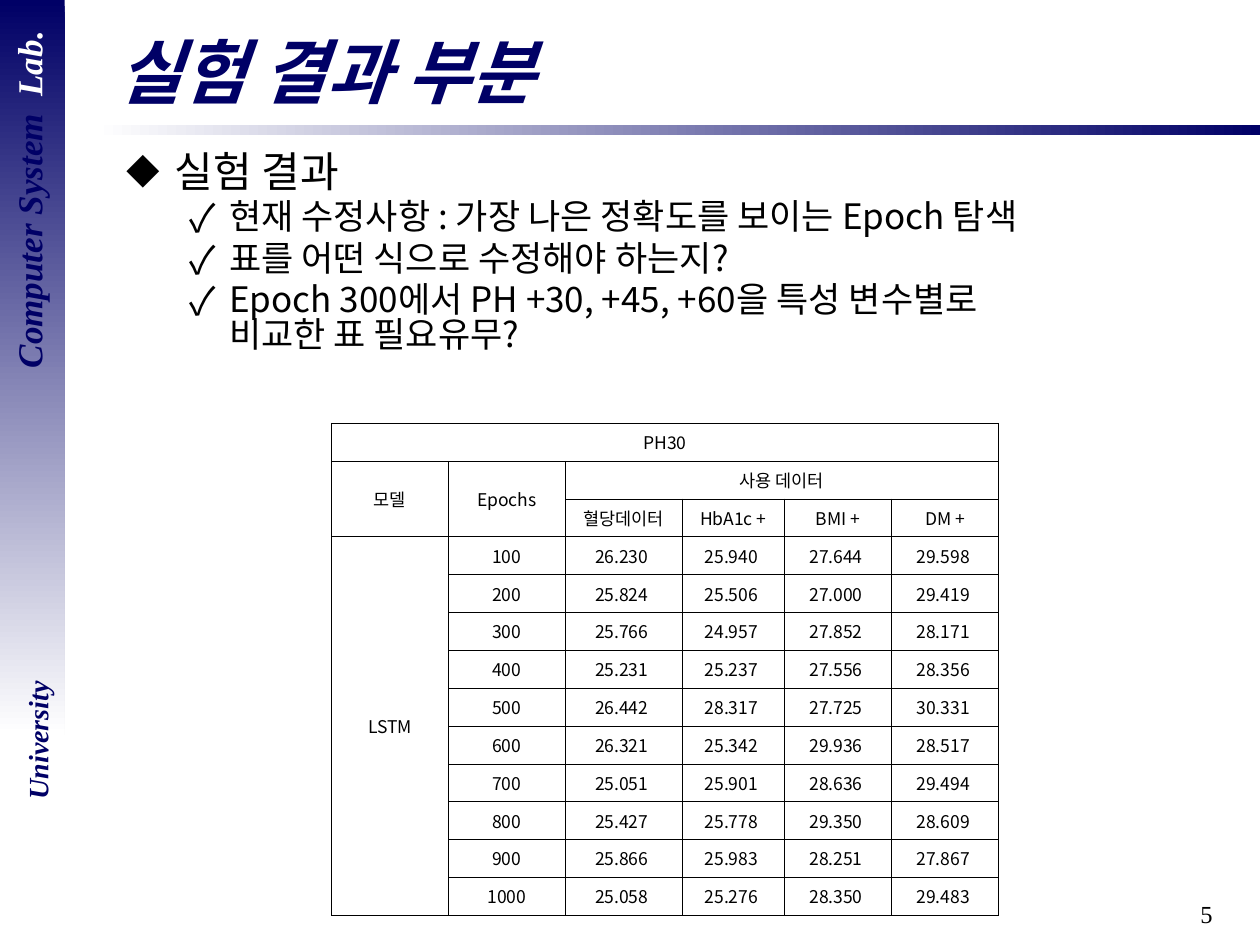
from pptx import Presentation
from pptx.dml.color import RGBColor as Rgb
from pptx.enum.shapes import MSO_SHAPE as Shape
from pptx.enum.text import MSO_ANCHOR as Anchor, PP_ALIGN as Align
from pptx.oxml.ns import qn
from pptx.util import Pt
from lxml.etree import SubElement

COLORS = {"navy": "000066", "white": "FFFFFF", "black": "000000"}
SANS, SERIF = "Noto Sans CJK KR", "Times New Roman"


def color(name):
    return Rgb.from_string(COLORS[name])


class SlideBuilder:
    """Holds the text style and the current slide."""

    base = {"size": Pt(20), "name": SANS, "bold": False, "italic": False}

    def __init__(self, slide):
        self.slide = slide

    def span(self, para, text, tint="black", **style):
        """Add styled runs; a line break splits the text into lines."""
        for number, line in enumerate(text.split("\n")):
            if number:
                para.add_line_break()
            span = para.add_run()
            span.text = line
            for key, value in {**self.base, **style}.items():
                setattr(span.font, key, value)
            span.font.color.rgb = color(tint)
            SubElement(span.font._element, qn("a:ea"), typeface=SANS)

    def box(self, left, top, width, height, rotation=0, anchor=Anchor.TOP):
        box = self.slide.shapes.add_textbox(Pt(left), Pt(top), Pt(width), Pt(height))
        box.rotation = rotation
        box.text_frame.word_wrap = True
        box.text_frame.vertical_anchor = anchor
        return box.text_frame

    def label(self, place, spans, align=Align.LEFT, **style):
        """Add a one-line text box made of (text, colour) spans."""
        para = self.box(**place).paragraphs[0]
        para.alignment = align
        for text, tint in spans:
            self.span(para, text, tint, **style)

    def gradient_bar(self, left, top, width, height, start, end, rotation=0):
        bar = self.slide.shapes.add_shape(
            Shape.RECTANGLE, Pt(left), Pt(top), Pt(width), Pt(height))
        bar.rotation = rotation
        bar.shadow.inherit = False
        bar.line.fill.background()
        bar.fill.gradient()
        bar.fill.gradient_angle = 0
        for stop, tint in zip(bar.fill.gradient_stops, (start, end)):
            stop.color.rgb = color(tint)

    def bullets(self, frame, items, levels):
        """Fill a frame with (level, text) items."""
        for number, (level, text) in enumerate(items):
            look = levels[level]
            para = frame.add_paragraph() if number else frame.paragraphs[0]
            para.level = level
            para.line_spacing = 0.82
            para.space_before = Pt(4 if number else 0)
            props = para._p.get_or_add_pPr()
            props.set("marL", str(Pt(look["margin"])))
            props.set("indent", str(Pt(-look["hang"])))
            SubElement(props, qn("a:buSzPct"), val=str(look["percent"] * 1000))
            SubElement(props, qn("a:buFont"), typeface=SANS)
            SubElement(props, qn("a:buChar"), char=look["mark"])
            self.span(para, text, size=Pt(look["size"]))

    def cell(self, cell, text, font):
        """Style one cell with thin black borders and centred text."""
        props = cell._tc.get_or_add_tcPr()
        for side in ("lnL", "lnR", "lnT", "lnB"):
            line = SubElement(props, qn(f"a:{side}"), w=str(Pt(0.28)))
            fill = SubElement(line, qn("a:solidFill"))
            SubElement(fill, qn("a:srgbClr"), val=COLORS["black"])
        cell.fill.background()
        cell.vertical_anchor = Anchor.MIDDLE
        cell.margin_top = cell.margin_bottom = 0
        para = cell.text_frame.paragraphs[0]
        para.alignment = Align.CENTER
        if text:
            self.span(para, text, size=Pt(10), name=font)

    def table(self, left, top, widths, row_height, rows, merges, serif_cells):
        frame = self.slide.shapes.add_table(
            len(rows), len(widths), Pt(left), Pt(top),
            Pt(sum(widths)), Pt(row_height * len(rows)))
        table = frame.table
        table.first_row = table.horz_banding = False
        for column, width in zip(table.columns, widths):
            column.width = Pt(width)
        for r, row in enumerate(rows):
            table.rows[r].height = Pt(row_height)
            for c, text in enumerate(row):
                font = SERIF if (r, c) in serif_cells else SANS
                self.cell(table.cell(r, c), text, font)
        for first, last in merges:
            table.cell(*first).merge(table.cell(*last))


BULLET_LEVELS = [
    {"margin": 27.36, "hang": 27.36, "percent": 80, "mark": "◆", "size": 24},
    {"margin": 58.32, "hang": 22.32, "percent": 110, "mark": "✓", "size": 20},
]
BULLETS = [
    (0, "실험 결과"),
    (1, "현재 수정사항 : 가장 나은 정확도를 보이는 Epoch 탐색"),
    (1, "표를 어떤 식으로 수정해야 하는지?"),
    (1, "Epoch 300에서 PH +30, +45, +60을 특성 변수별로 \n비교한 표 필요유무?"),
]
HEADER = [
    ["PH30", "", "", "", "", ""],
    ["모델", "Epochs", "사용 데이터", "", "", ""],
    ["", "", "혈당데이터", "HbA1c +", "BMI +", "DM +"],
]
ERRORS = [
    (26.230, 25.940, 27.644, 29.598),
    (25.824, 25.506, 27.000, 29.419),
    (25.766, 24.957, 27.852, 28.171),
    (25.231, 25.237, 27.556, 28.356),
    (26.442, 28.317, 27.725, 30.331),
    (26.321, 25.342, 29.936, 28.517),
    (25.051, 25.901, 28.636, 29.494),
    (25.427, 25.778, 29.350, 28.609),
    (25.866, 25.983, 28.251, 27.867),
    (25.058, 25.276, 28.350, 29.483),
]
MERGES = [((0, 0), (0, 5)), ((1, 0), (2, 0)), ((1, 1), (2, 1)),
          ((1, 2), (1, 5)), ((3, 0), (12, 0))]


def main():
    deck = Presentation()
    deck.slide_width, deck.slide_height = Pt(720), Pt(540)
    page = SlideBuilder(deck.slides.add_slide(deck.slide_layouts[6]))

    # Title rule, page number and side band
    page.gradient_bar(54, 71.3, 666, 5.8, "white", "navy")
    page.label({"left": 550, "top": 510, "width": 150, "height": 30},
               [("5", "black")], Align.RIGHT, size=Pt(14), name=SERIF)
    page.gradient_bar(-191.5, 191.5, 420, 37, "navy", "white", rotation=90)
    emblem = {"align": Align.CENTER, "name": SERIF, "bold": True, "italic": True}
    page.label({"left": -94.3, "top": 98.6, "width": 221, "height": 31, "rotation": 270},
               [("Computer System  ", "navy"), ("Lab.", "white")],
               size=Pt(20), **emblem)
    page.label({"left": -29.5, "top": 409.7, "width": 102, "height": 26.6, "rotation": 270},
               [("University", "navy")], size=Pt(16), **emblem)

    # Bullets and title
    page.bullets(page.box(65.5, 84.5, 629, 445), BULLETS, BULLET_LEVELS)
    page.label({"left": 60, "top": 12.5, "width": 641, "height": 55.5,
                "anchor": Anchor.MIDDLE},
               [("실험 결과 부분", "navy")], size=Pt(40), bold=True, italic=True)

    # Results by epoch count
    results = [["" if number else "LSTM", str(100 * (number + 1)),
                *(f"{value:.3f} " for value in values)]
               for number, values in enumerate(ERRORS)]
    page.table(189.4, 241.8, [66.8, 66.8, 66.8, 58.5, 61.2, 61.2], 21.64,
               HEADER + results, MERGES, {(1, 0), (1, 2), (2, 2)})

    deck.save("out.pptx")


if __name__ == "__main__":
    main()
